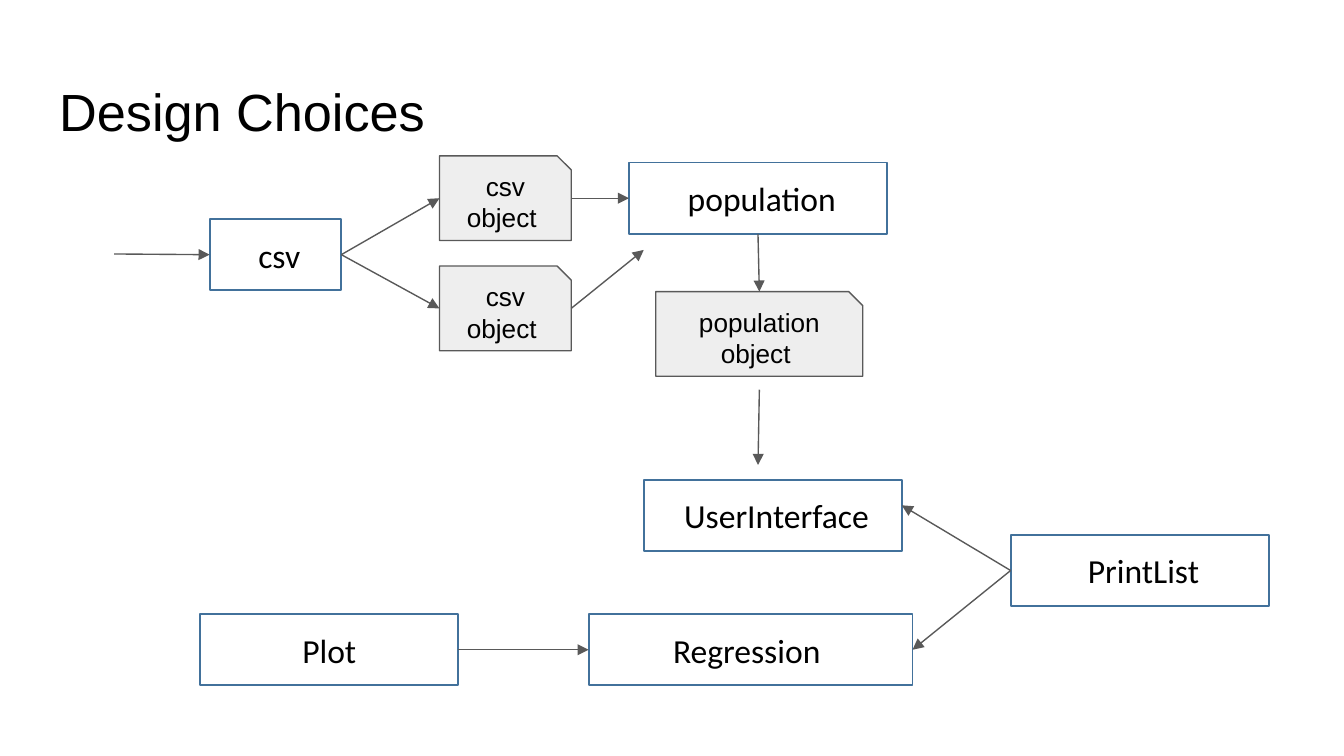
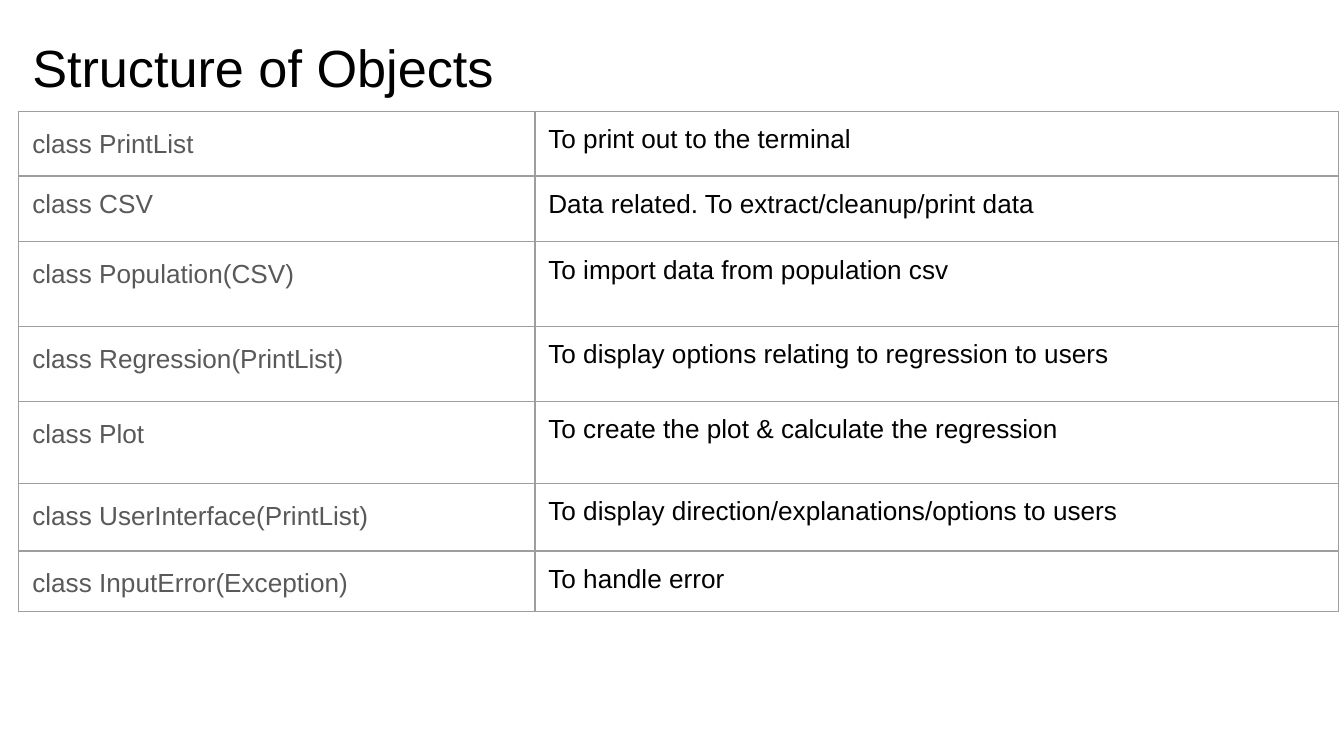
from dataclasses import dataclass
from typing import Optional, Union

from lxml.etree import SubElement
from pptx import Presentation
from pptx.dml.color import RGBColor
from pptx.enum.shapes import MSO_CONNECTOR, MSO_SHAPE
from pptx.enum.text import MSO_ANCHOR, MSO_AUTO_SIZE, PP_ALIGN
from pptx.oxml.ns import qn
from pptx.shapes.autoshape import Shape
from pptx.slide import Slide
from pptx.table import _Cell as Cell
from pptx.text.text import _Paragraph as Paragraph
from pptx.util import Inches, Pt


@dataclass(frozen=True)
class Theme:
    text: str = "000000"
    muted: str = "595959"
    module_line: str = "42719B"
    object_fill: str = "EEEEEE"
    grid: str = "9E9E9E"
    font: str = "Arial"
    module_font: str = "Calibri"
    title_size: int = 28
    module_size: int = 18
    body_size: int = 14
    thin: float = 0.75
    module_width: float = 1


THEME = Theme()
TOP, LEFT, BOTTOM, RIGHT = range(4)


@dataclass(frozen=True)
class Box:
    key: str
    label: str
    x: float
    y: float
    w: float
    is_object: bool = False


@dataclass(frozen=True)
class Side:
    key: str
    site: int


@dataclass(frozen=True)
class Point:
    x: float
    y: float


End = Union[Side, Point]


@dataclass(frozen=True)
class Arrow:
    start: End
    end: End


@dataclass(frozen=True)
class ClassRow:
    name: str
    purpose: str
    height: float
    spacing: Optional[float] = 1.15


MODULE_HEIGHT, OBJECT_HEIGHT = 0.53, 0.63

BOXES = [
    Box("csv", " csv", 1.56, 1.63, 0.98),
    Box("csv object 1", " csv object", 3.27, 1.16, 0.98, True),
    Box("csv object 2", " csv object", 3.27, 1.98, 0.98, True),
    Box("population", " population", 4.68, 1.21, 1.92),
    Box("population object", " population object", 4.88, 2.17, 1.54, True),
    Box("interface", " UserInterface", 4.79, 3.57, 1.92),
    Box("regression", "Regression ", 4.38, 4.57, 2.41),
    Box("plot", "Plot", 1.49, 4.57, 1.92),
    Box("print list", " PrintList", 7.52, 3.98, 1.92),
]

ARROWS = [
    Arrow(Side("population", BOTTOM), Side("population object", TOP)),
    Arrow(Side("csv object 1", RIGHT), Side("population", LEFT)),
    Arrow(Side("csv object 2", RIGHT), Point(4.79, 1.86)),
    Arrow(Side("plot", RIGHT), Side("regression", LEFT)),
    Arrow(Side("csv", RIGHT), Side("csv object 1", LEFT)),
    Arrow(Side("csv", RIGHT), Side("csv object 2", LEFT)),
    Arrow(Point(0.85, 1.89), Side("csv", LEFT)),
    Arrow(Point(5.65, 2.9), Point(5.64, 3.46)),
    Arrow(Side("print list", LEFT), Point(6.71, 3.76)),
    Arrow(Side("print list", LEFT), Side("regression", RIGHT)),
]

COLUMNS = [3.84, 5.98]
CLASSES = [
    ClassRow("class PrintList", "To print out to the terminal", 0.48),
    ClassRow("class CSV", "Data related. To extract/cleanup/print data", 0.49, None),
    ClassRow("class Population(CSV)", "To import data from population csv", 0.63),
    ClassRow("class Regression(PrintList)",
             "To display options relating to regression to users", 0.56),
    ClassRow("class Plot", "To create the plot & calculate the regression", 0.61),
    ClassRow("class UserInterface(PrintList)",
             "To display direction/explanations/options to users", 0.5),
    ClassRow("class InputError(Exception)", "To handle error", 0.45),
]


# Shared text and title style
def add_run(p: Paragraph, text: str, size: float, color: str = THEME.text,
            font: str = THEME.font) -> None:
    r = p.add_run()
    r.text = text
    r.font.name, r.font.size = font, Pt(size)
    r.font.color.rgb = RGBColor.from_string(color)


def set_margins(target, side: float = 0.1, vertical: float = 0.1) -> None:
    target.margin_left = target.margin_right = Inches(side)
    target.margin_top = target.margin_bottom = Inches(vertical)


def add_titled_slide(prs, title: str, x: float, y: float) -> Slide:
    s = prs.slides.add_slide(prs.slide_layouts[5])
    sp = s.shapes.title
    sp.left, sp.top, sp.width, sp.height = map(Inches, (x, y, 9.32, 0.63))
    tf = sp.text_frame
    tf.auto_size = MSO_AUTO_SIZE.NONE
    tf.vertical_anchor = MSO_ANCHOR.TOP
    set_margins(tf)
    p = tf.paragraphs[0]
    p.alignment = PP_ALIGN.LEFT
    add_run(p, title, THEME.title_size)
    return s


# Diagram parts
def add_box(s: Slide, box: Box) -> Shape:
    preset = MSO_SHAPE.SNIP_1_RECTANGLE if box.is_object else MSO_SHAPE.RECTANGLE
    height = OBJECT_HEIGHT if box.is_object else MODULE_HEIGHT
    sp = s.shapes.add_shape(preset, *map(Inches, (box.x, box.y, box.w, height)))
    sp.shadow.inherit = False
    tf = sp.text_frame
    tf.word_wrap = True
    tf.vertical_anchor = MSO_ANCHOR.MIDDLE
    p = tf.paragraphs[0]
    p.alignment = PP_ALIGN.CENTER
    if box.is_object:
        sp.fill.solid()
        sp.fill.fore_color.rgb = RGBColor.from_string(THEME.object_fill)
        line, width = THEME.muted, THEME.thin
        set_margins(tf)
        add_run(p, box.label, THEME.body_size)
    else:
        sp.fill.background()
        line, width = THEME.module_line, THEME.module_width
        set_margins(tf, vertical=0.05)
        add_run(p, box.label, THEME.module_size, font=THEME.module_font)
    sp.line.color.rgb = RGBColor.from_string(line)
    sp.line.width = Pt(width)
    return sp


def add_arrow(s: Slide, arrow: Arrow, boxes: dict[str, Shape]) -> None:
    ends = [e if isinstance(e, Point) else Point(0, 0) for e in (arrow.start, arrow.end)]
    c = s.shapes.add_connector(MSO_CONNECTOR.STRAIGHT,
                               *(Inches(v) for e in ends for v in (e.x, e.y)))
    for end, join in ((arrow.start, c.begin_connect), (arrow.end, c.end_connect)):
        if isinstance(end, Side):
            join(boxes[end.key], end.site)
    c.line.color.rgb = RGBColor.from_string(THEME.muted)
    c.line.width = Pt(THEME.thin)
    sp_pr = c.element.spPr
    SubElement(sp_pr.find(qn("a:ln")), qn("a:tailEnd"), type="triangle")
    SubElement(sp_pr, qn("a:effectLst"))


# Table parts
def style_cell(cell: Cell) -> None:
    set_margins(cell)
    cell.vertical_anchor = MSO_ANCHOR.TOP
    tc_pr = cell._tc.get_or_add_tcPr()
    for edge in ("lnL", "lnR", "lnT", "lnB"):
        ln = SubElement(tc_pr, qn(f"a:{edge}"), w=str(Pt(THEME.thin)))
        fill = SubElement(ln, qn("a:solidFill"))
        SubElement(fill, qn("a:srgbClr"), val=THEME.grid)
    cell.fill.background()


def add_class_table(s: Slide, x: float, y: float) -> None:
    height = sum(c.height for c in CLASSES)
    frame = s.shapes.add_table(len(CLASSES), len(COLUMNS),
                               *map(Inches, (x, y, sum(COLUMNS), height)))
    table = frame.table
    table.first_row = table.horz_banding = False
    for column, width in zip(table.columns, COLUMNS):
        column.width = Inches(width)
    for row, item in zip(table.rows, CLASSES):
        row.height = Inches(item.height)
        name, purpose = row.cells
        for cell, text, color in ((name, item.name, THEME.muted),
                                  (purpose, item.purpose, THEME.text)):
            style_cell(cell)
            add_run(cell.text_frame.paragraphs[0], text, THEME.body_size, color)
        p = name.text_frame.paragraphs[0]
        p.space_after = Pt(16)
        p.line_spacing = item.spacing


def main() -> None:
    prs = Presentation()
    prs.slide_width = Inches(10)
    prs.slide_height = prs.slide_width * 9 // 16

    # Design diagram
    s = add_titled_slide(prs, "Design Choices　", 0.34, 0.49)
    boxes = {box.key: add_box(s, box) for box in BOXES}
    for arrow in ARROWS:
        add_arrow(s, arrow, boxes)

    # Class overview
    s = add_titled_slide(prs, "Structure of Objects", 0.14, 0.16)
    add_class_table(s, 0.14, 0.83)

    prs.save("out.pptx")


if __name__ == "__main__":
    main()
